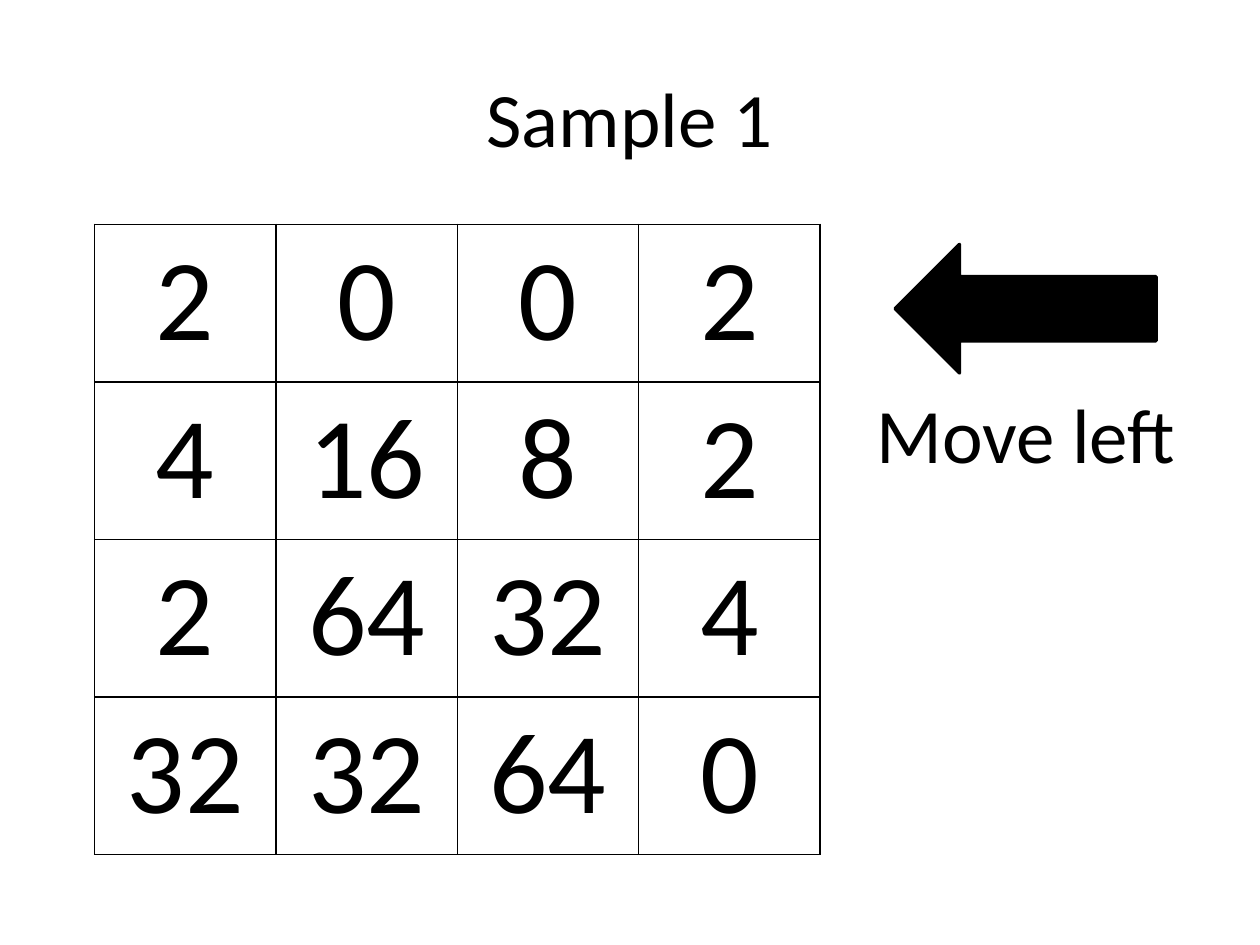
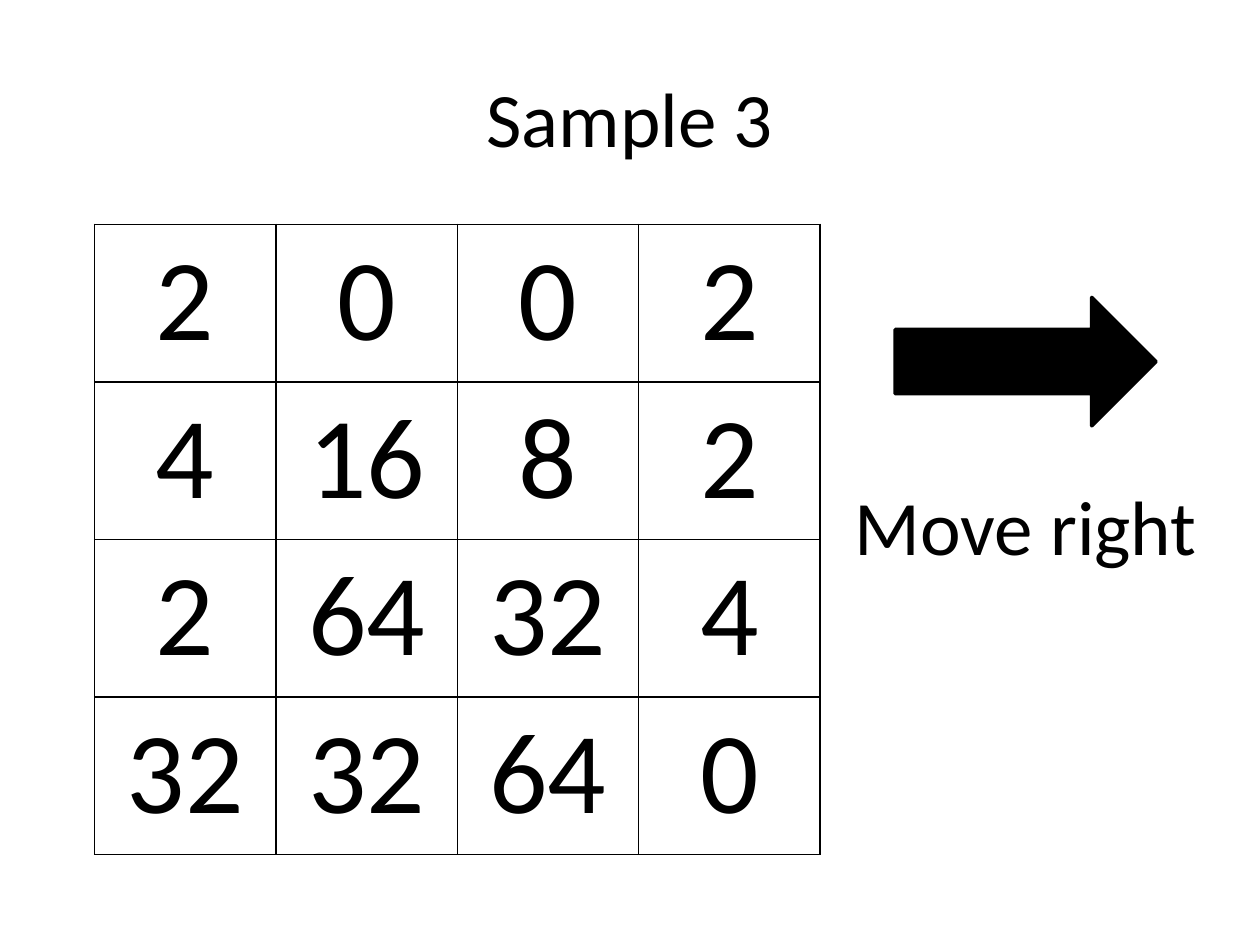
from dataclasses import dataclass

from lxml.etree import SubElement
from pptx import Presentation
from pptx.dml.color import RGBColor
from pptx.enum.shapes import MSO_SHAPE as Shape
from pptx.enum.text import MSO_ANCHOR as Anchor, MSO_AUTO_SIZE as AutoSize, PP_ALIGN as Align
from pptx.oxml.ns import qn
from pptx.util import Inches, Pt

BOARD = [
    [2, 0, 0, 2],
    [4, 16, 8, 2],
    [2, 64, 32, 4],
    [32, 32, 64, 0],
]

# Tops and widths in inches; rotation turns the right-pointing arrow.
SAMPLES = [
    dict(title="Sample 1", move="Move left", rotation=180,
         arrow_top=1.94, move_top=3.02, move_width=2.68),
    dict(title="Sample 3", move="Move right", rotation=0,
         arrow_top=2.36, move_top=3.75, move_width=3),
]


@dataclass(frozen=True)
class Theme:
    """Colours, font and sizes shared by the slides."""
    ink: RGBColor = RGBColor(0, 0, 0)
    paper: RGBColor = RGBColor(255, 255, 255)
    font: str = "Calibri"
    label_size: int = 44
    number_size: int = 66
    grid_line: int = 1
    arrow_line: int = 2


THEME = Theme()
BOARD_LEFT, BOARD_TOP = 0.75, 1.78
CELL_WIDTH, CELL_HEIGHT = 1.44, 1.25
MOVE_CENTRE = 8.14
ARROW_WIDTH, ARROW_HEIGHT = 2.07, 1.02


def write(frame, words, size):
    """Put one centred run of words into a text frame."""
    paragraph = frame.paragraphs[0]
    paragraph.alignment = Align.CENTER
    run = paragraph.add_run()
    run.text = words
    run.font.name = THEME.font
    run.font.size = Pt(size)
    run.font.color.rgb = THEME.ink


def outline(cell):
    """Draw the four borders of a table cell."""
    properties = cell._tc.get_or_add_tcPr()
    for side in ("a:lnL", "a:lnR", "a:lnT", "a:lnB"):
        border = SubElement(properties, qn(side), w=str(Pt(THEME.grid_line)))
        fill = SubElement(border, qn("a:solidFill"))
        SubElement(fill, qn("a:srgbClr"), val=str(THEME.ink))


def add_title(slide, words):
    """Place and fill the title placeholder."""
    title = slide.shapes.title
    title.left, title.top = Inches(0.5), Inches(0.3)
    title.width, title.height = Inches(9), Inches(1.25)
    title.text_frame.vertical_anchor = Anchor.MIDDLE
    write(title.text_frame, words, THEME.label_size)


def add_board(slide, numbers):
    """Add the number board as a plain ruled table."""
    rows, columns = len(numbers), len(numbers[0])
    board = slide.shapes.add_table(
        rows, columns, Inches(BOARD_LEFT), Inches(BOARD_TOP),
        Inches(columns * CELL_WIDTH), Inches(rows * CELL_HEIGHT)).table
    board.first_row = board.horz_banding = False
    for row, row_numbers in enumerate(numbers):
        for column, number in enumerate(row_numbers):
            cell = board.cell(row, column)
            outline(cell)
            cell.fill.background()
            write(cell.text_frame, str(number), THEME.number_size)


def add_move(slide, sample):
    """Add the caption of the move and its arrow on one centre line."""
    width = sample["move_width"]
    caption = slide.shapes.add_textbox(
        Inches(MOVE_CENTRE - width / 2), Inches(sample["move_top"]),
        Inches(width), Inches(0.84)).text_frame
    caption.word_wrap = True
    caption.auto_size = AutoSize.SHAPE_TO_FIT_TEXT
    write(caption, sample["move"], THEME.label_size)

    arrow = slide.shapes.add_shape(
        Shape.RIGHT_ARROW, Inches(MOVE_CENTRE - ARROW_WIDTH / 2),
        Inches(sample["arrow_top"]), Inches(ARROW_WIDTH), Inches(ARROW_HEIGHT))
    arrow.rotation = sample["rotation"]
    arrow.shadow.inherit = False
    arrow.fill.solid()
    arrow.fill.fore_color.rgb = THEME.ink
    arrow.line.color.rgb = THEME.ink
    arrow.line.width = Pt(THEME.arrow_line)


def build():
    """Build one slide per sample and save the deck."""
    deck = Presentation()
    deck.slide_width, deck.slide_height = Inches(10), Inches(7.5)
    title_only = deck.slide_layouts[5]
    for sample in SAMPLES:
        slide = deck.slides.add_slide(title_only)
        slide.background.fill.solid()
        slide.background.fill.fore_color.rgb = THEME.paper
        add_title(slide, sample["title"])
        add_board(slide, BOARD)
        add_move(slide, sample)
    deck.save("out.pptx")


build()
